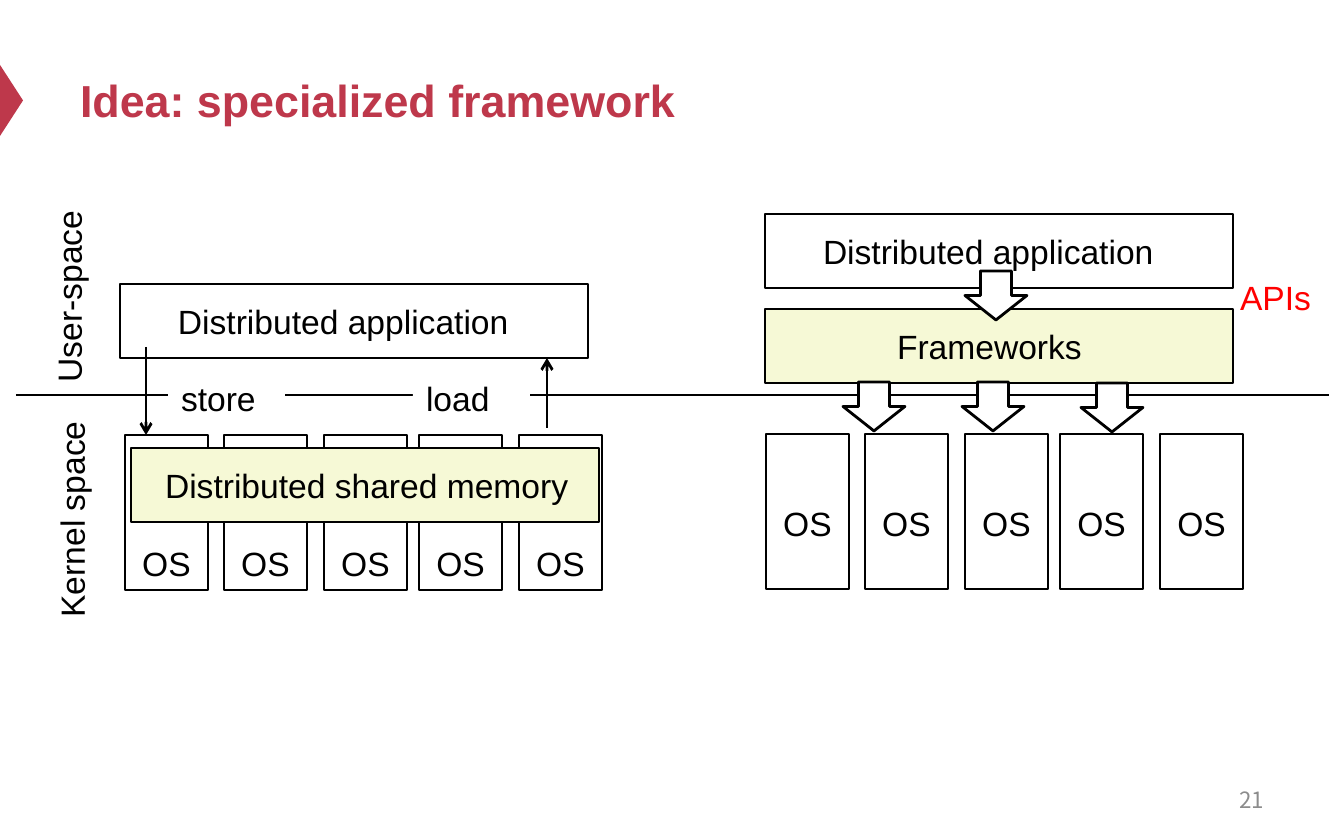
"""Build a slide comparing distributed shared memory with specialized frameworks."""
from lxml import etree
from pptx import Presentation
from pptx.dml.color import RGBColor
from pptx.enum.shapes import MSO_CONNECTOR, MSO_SHAPE
from pptx.enum.text import MSO_ANCHOR, PP_ALIGN
from pptx.oxml.ns import qn
from pptx.util import Pt

RECTANGLE, TRIANGLE, DOWN_ARROW = MSO_SHAPE.RECTANGLE, MSO_SHAPE.ISOSCELES_TRIANGLE, MSO_SHAPE.DOWN_ARROW
STRAIGHT = MSO_CONNECTOR.STRAIGHT
LEFT, CENTER, RIGHT = PP_ALIGN.LEFT, PP_ALIGN.CENTER, PP_ALIGN.RIGHT
MIDDLE, BOTTOM = MSO_ANCHOR.MIDDLE, MSO_ANCHOR.BOTTOM

EMU_PER_PX = 914400 / 134.4
COLORS = {"red": "BE384B", "black": "000000", "white": "FFFFFF", "yellow": "F6F9D6",
          "gray": "8C8C8C", "api": "FF0000"}
BODY = {"name": "Arial", "size": Pt(18), "bold": False}
HEADING = {"name": "Arial", "size": Pt(24), "bold": True}
NUMBER = {"name": "Noto Sans CJK SC", "size": Pt(12), "bold": False}

TITLE = ("Idea: specialized framework", (67, 34, 1210, 132))
MARKER = (-24, 89, 71, 23)
PAGE_NUMBER = ("21", (964, 778, 313, 44))
SIDE_LABELS = [("User-space", (-51, 249, 239, 54)), ("Kernel space", (-48, 484, 239, 54))]
API_LABEL = ("APIs", (1227, 270, 117, 54))
ARROW_LABELS = [("store", (168, 371)), ("load", (413, 371))]
ARROW_LABEL_SIZE = (117, 54)

LAYERS = [
    ("Distributed application", (120, 284), None, 58),
    ("Distributed shared memory", (131, 448), "yellow", 34),
    ("Distributed application", (765, 214), None, 58),
    ("Frameworks", (765, 309), "yellow", 132),
]
LAYER_SIZE = (468, 74)

OS_GROUPS = [((125, 435), 7), ((766, 434), 46)]
OS_OFFSETS = [0, 99, 199, 294, 394]
OS_SIZE = (83, 155)

DIVIDER = (16, 395, 1329, 395)
ACCESS_ARROWS = [(146, 347, 146, 435), (547, 428, 547, 358)]
BLOCK_ARROWS = [(843, 382), (962, 382), (1081, 383), (965, 271)]
BLOCK_ARROW_SIZE = (62, 49)


def px(value):
    return round(value * EMU_PER_PX)


def color(name):
    return RGBColor.from_string(COLORS[name])


def set_values(target, values):
    for name, value in values.items():
        setattr(target, name, value)


def write_text(shape, text, font=BODY, ink="black", align=LEFT, anchor=MIDDLE, left=13, bottom=7):
    frame = shape.text_frame
    set_values(frame, {"word_wrap": True, "vertical_anchor": anchor,
                       "margin_left": px(left), "margin_right": px(13 if align != CENTER else left),
                       "margin_top": px(7), "margin_bottom": px(bottom)})
    paragraph = frame.paragraphs[0]
    paragraph.alignment = align
    run = paragraph.add_run()
    run.text = text
    set_values(run.font, font)
    run.font.color.rgb = color(ink)


def add_box(slide, kind, place, fill=None, line_width=None):
    shape = slide.shapes.add_shape(kind, *map(px, place))
    shape.shadow.inherit = False
    if fill:
        shape.fill.solid()
        shape.fill.fore_color.rgb = color(fill)
    else:
        shape.fill.background()
    if line_width:
        shape.line.color.rgb = color("black")
        shape.line.width = Pt(line_width)
    else:
        shape.line.fill.background()
    return shape


def add_label(slide, text, place, rotation=0, **style):
    label = slide.shapes.add_textbox(*map(px, place))
    label.rotation = rotation
    write_text(label, text, **style)


def add_line(slide, ends, width, arrow=False):
    connector = slide.shapes.add_connector(STRAIGHT, *map(px, ends))
    connector.line.color.rgb = color("black")
    connector.line.width = Pt(width)
    if arrow:
        etree.SubElement(connector.line._get_or_add_ln(), qn("a:tailEnd"), type="arrow")
    etree.SubElement(connector._element.spPr, qn("a:effectLst"))


def add_layer(slide, text, corner, fill, left):
    layer = add_box(slide, RECTANGLE, corner + LAYER_SIZE, fill, 1)
    write_text(layer, text, left=left)


def main():
    presentation = Presentation()
    presentation.slide_width, presentation.slide_height = px(1344), px(840)
    slide = presentation.slides.add_slide(presentation.slide_layouts[5])

    text, place = TITLE
    title = slide.shapes.title
    set_values(title, dict(zip(("left", "top", "width", "height"), map(px, place))))
    write_text(title, text, font=HEADING, ink="red")
    add_box(slide, TRIANGLE, MARKER, "red").rotation = 90
    add_label(slide, *PAGE_NUMBER, font=NUMBER, ink="gray", align=RIGHT)

    add_line(slide, DIVIDER, 0.75)
    for text, place in SIDE_LABELS:
        add_label(slide, text, place, rotation=270)

    for (left, top), bottom in OS_GROUPS:
        for offset in OS_OFFSETS:
            system = add_box(slide, RECTANGLE, (left + offset, top) + OS_SIZE, line_width=1)
            write_text(system, "OS", align=CENTER, anchor=BOTTOM, left=0, bottom=bottom)
    for layer in LAYERS:
        add_layer(slide, *layer)

    for ends in ACCESS_ARROWS:
        add_line(slide, ends, 1.5, arrow=True)
    for text, corner in ARROW_LABELS:
        write_text(add_box(slide, RECTANGLE, corner + ARROW_LABEL_SIZE, "white"), text)
    for corner in BLOCK_ARROWS:
        add_box(slide, DOWN_ARROW, corner + BLOCK_ARROW_SIZE, "white", 1.5)
    add_label(slide, *API_LABEL, ink="api")

    presentation.save("out.pptx")


if __name__ == "__main__":
    main()
